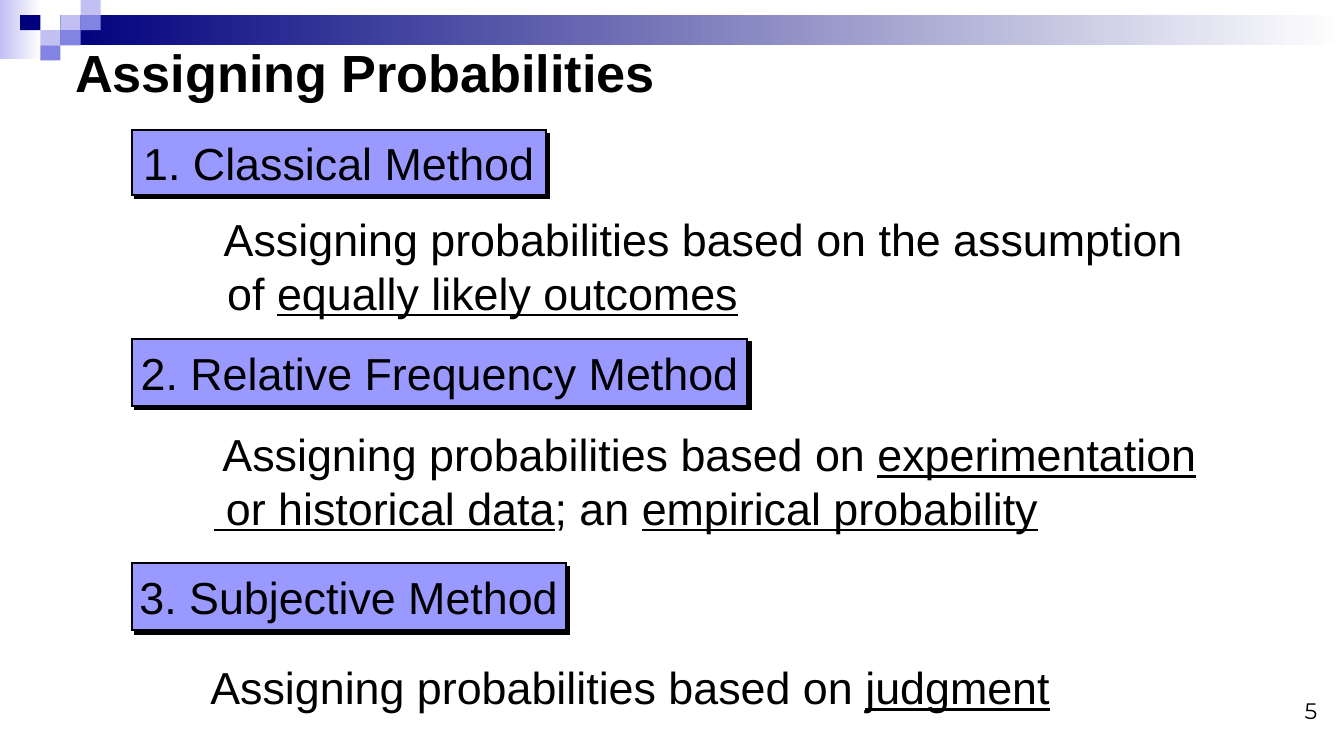
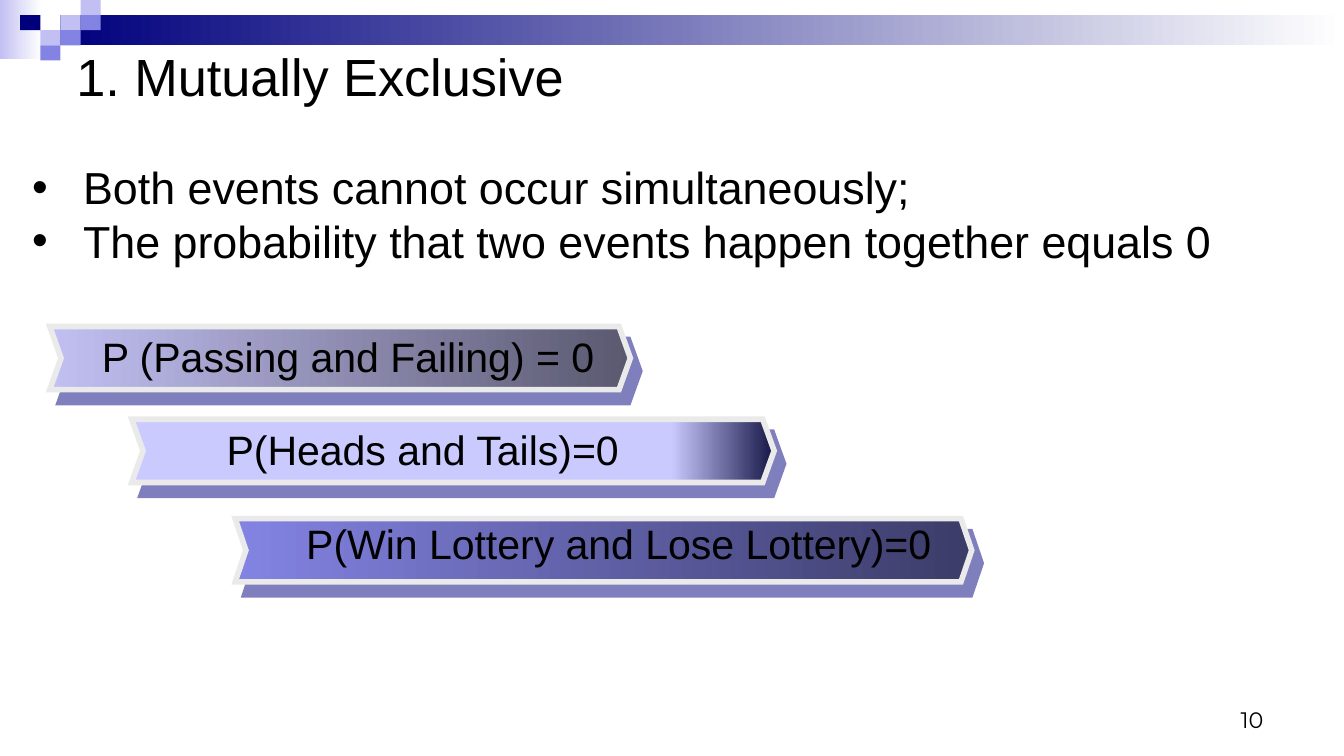
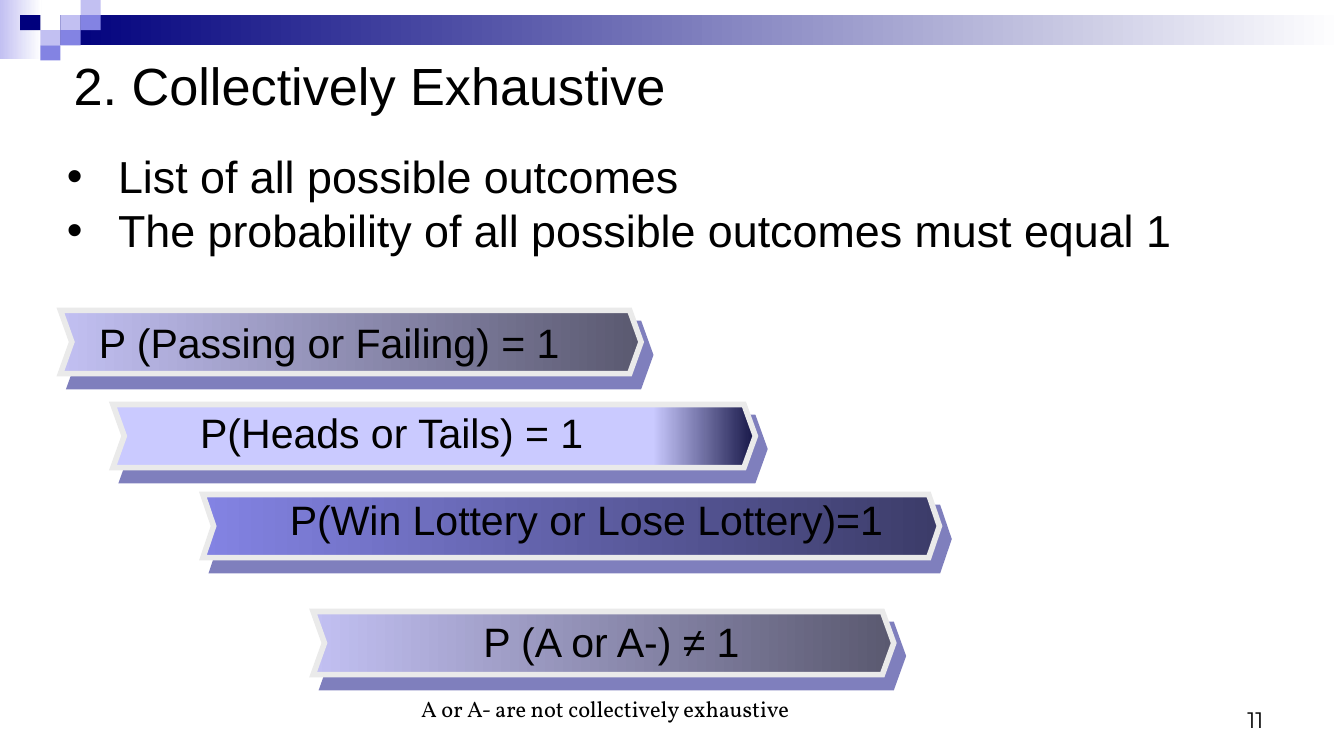
from pptx import Presentation
from pptx.util import Inches, Pt
from pptx.dml.color import RGBColor as RGB
from pptx.enum.shapes import MSO_SHAPE as Shape
from pptx.enum.text import MSO_ANCHOR as Anchor, PP_ALIGN as Align
from pptx.oxml.ns import qn
from lxml.etree import SubElement as Sub

WIDTH = 10
HEIGHT = WIDTH * 9 / 16

HUES = {
    "ink": "000000", "white": "FFFFFF", "navy": "00007D",
    "lilac": "C2C0F2", "iris": "8383E3", "label": "9999FF",
    "pale": "CACAFF", "edge": "EAEAEA", "slate": "5A5970",
    "dusk": "3C3C69", "night": "151546",
}
SANS, SERIF, NUM = "Arial", "Vollkorn", "Montserrat"

# Banner squares: column, row, colour
TILES = [(3, 1, "lilac"), (4, 0, "lilac"), (4, 1, "iris"), (2, 2, "lilac"),
         (1, 1, "navy"), (3, 2, "iris"), (2, 3, "iris")]
TILE_W, TILE_H = 0.15, 0.45 / 4

# Arrow styles: width, notch, start colour, end colour, start position
ARROWS = {
    "short": (4.32, 0.18, "lilac", "slate", 0),
    "mid": (4.78, 0.18, "pale", "night", 0.84),
    "long": (5.48, 0.17, "iris", "dusk", 0),
}
ARROW_H = 0.47


def hue(name):
    return RGB.from_string(HUES[name])


def inch(*nums):
    return [Inches(n) for n in nums]


def blend(shape, first, last, start=0):
    """Fill a shape with a left-to-right gradient."""
    shape.fill.gradient()
    shape.fill.gradient_angle = 0
    for stop, name, pos in zip(shape.fill.gradient_stops,
                               (first, last), (start, 1)):
        stop.color.rgb = hue(name)
        stop.position = pos


def shade(shape, name, dist, angle, alpha=100):
    """Give a shape a hard offset shadow."""
    fx = shape._element.spPr.find(qn("a:effectLst"))
    cast = Sub(fx, qn("a:outerShdw"), blurRad="0", dist=str(Pt(dist)),
               dir=str(angle * 60000), algn="ctr", rotWithShape="0")
    clr = Sub(cast, qn("a:srgbClr"), val=HUES[name])
    Sub(clr, qn("a:alpha"), val=str(alpha * 1000))


def block(shapes, box, fill=None, line=None, width=1, kind=Shape.RECTANGLE):
    shape = shapes.add_shape(kind, *inch(*box))
    shape.shadow.inherit = False
    if fill:
        shape.fill.solid()
        shape.fill.fore_color.rgb = hue(fill)
    if line:
        shape.line.color.rgb = hue(line)
        shape.line.width = Pt(width)
        # Sharp corners
        Sub(shape._element.spPr.find(qn("a:ln")), qn("a:miter"),
            lim="800000")
    else:
        shape.line.fill.background()
    return shape


def style(run, size, face=SANS, bold=False, under=None):
    font = run.font
    font.size, font.name, font.bold = Pt(size), face, bold
    font.underline = under
    font.color.rgb = hue("ink")


def write(slide, box, text, size, face=SANS, bold=False,
          align=Align.LEFT, anchor=Anchor.TOP):
    """Add a text box; each line of text is a paragraph."""
    frame = slide.shapes.add_textbox(*inch(*box)).text_frame
    frame.word_wrap = True
    frame.vertical_anchor = anchor
    frame.text = text
    for para in frame.paragraphs:
        para.alignment = align
        for run in para.runs:
            style(run, size, face, bold)
    return frame


def title(slide, box, text, bold=False, anchor=Anchor.TOP):
    write(slide, box, text, 28, bold=bold, anchor=anchor)


def number(slide, left, top, text):
    write(slide, (left, top, 2.33, 0.38), text, 12, NUM,
          align=Align.RIGHT, anchor=Anchor.BOTTOM)


def banner(slide):
    group = slide.shapes.add_group_shape().shapes
    blend(block(group, (0, 0, 0.31, 0.44)), "lilac", "white")
    bar = 3 * TILE_W
    blend(block(group, (bar, TILE_H, WIDTH - bar, 2 * TILE_H)),
          "navy", "white")
    for col, row, name in TILES:
        block(group, (col * TILE_W, row * TILE_H, TILE_W, TILE_H), name)


def label(slide, top, width, height, text):
    """Boxed name of a method."""
    shape = block(slide.shapes, (0.98, top, width, height),
                  "label", "ink")
    shade(shape, "ink", 2.8, 45)
    frame = shape.text_frame
    frame.word_wrap = False
    frame.vertical_anchor = Anchor.MIDDLE
    frame.text = text
    para = frame.paragraphs[0]
    para.alignment = Align.CENTER
    style(para.runs[0], 24)


def define(slide, box, lines):
    """Definition whose lines are lists of (text, underlined)."""
    frame = slide.shapes.add_textbox(*inch(*box)).text_frame
    frame.word_wrap = False
    frame.vertical_anchor = Anchor.MIDDLE
    for i, line in enumerate(lines):
        para = frame.add_paragraph() if i else frame.paragraphs[0]
        for text, under in line:
            run = para.add_run()
            run.text = text
            style(run, 24, SERIF if text == " " else SANS, under=under)


def bullets(slide, box, text):
    for para in write(slide, box, text, 24).paragraphs:
        props = para._p.get_or_add_pPr()
        props.set("marL", str(Inches(0.38)))
        props.set("indent", str(-Inches(0.38)))
        Sub(props, qn("a:buFont"), typeface=SANS)
        Sub(props, qn("a:buChar"), char="•")


def arrow(slide, kind, left, top):
    width, notch, first, last, start = ARROWS[kind]
    shape = block(slide.shapes, (left, top, width, ARROW_H),
                  line="edge", width=3, kind=Shape.CHEVRON)
    shape.adjustments[0] = notch
    blend(shape, first, last, start)
    shade(shape, "navy", 8.6, 54, 50)


def caption(slide, left, top, width, text):
    write(slide, (left, top, width, ARROW_H), text, 22, align=Align.CENTER)


def methods(slide):
    title(slide, (0.46, 0.2, 5.62, 0.67), "Assigning Probabilities",
          True, Anchor.MIDDLE)
    for top, width, height, text in [
            (0.97, 3.08, 0.48, "1. Classical Method"),
            (2.52, 4.58, 0.5, "2. Relative Frequency Method"),
            (4.19, 3.23, 0.5, "3. Subjective Method")]:
        label(slide, top, width, height, text)
    lead = [(" ", False), ("Assigning probabilities based on ", False)]
    define(slide, (1.5, 1.57, 7.54, 0.81), [
        [(" ", False),
         ("Assigning probabilities based on the assumption", False)],
        [(" of ", False), ("equally likely outcomes", True)]])
    define(slide, (1.49, 3.19, 7.75, 0.77), [
        lead + [("experimentation", True)],
        [(" or historical data", True), ("; an ", False),
         ("empirical probability", True)]])
    define(slide, (1.4, 4.78, 7.48, 0.66), [lead + [("judgment", True)]])
    number(slide, 7.57, 5.06, "5")


def exclude(slide):
    for kind, left, top in [("long", 1.75, 3.86), ("mid", 0.98, 3.12),
                            ("short", 0.37, 2.43)]:
        arrow(slide, kind, left, top)
    caption(slide, 0.59, 2.42, 4, "P (Passing and Failing) = 0")
    caption(slide, 1.29, 3.11, 3.71, "P(Heads and Tails)=0")
    caption(slide, 2.05, 3.81, 5.11, "P(Win Lottery and Lose Lottery)=0")
    title(slide, (0.47, 0.28, 8.77, 0.67), "1. Mutually Exclusive")
    number(slide, 7.17, 5.12, "10")
    bullets(slide, (0.14, 1.14, 9.36, 0.89),
            "Both events cannot occur simultaneously;\n"
            "The probability that two events happen together equals 0")


def exhaust(slide):
    write(slide, (2.97, 5.12, 3.07, 0.3),
          "A or A- are not collectively exhaustive", 12, SERIF,
          align=Align.CENTER)
    title(slide, (0.45, 0.35, 7.14, 0.57), "2. Collectively Exhaustive")
    number(slide, 7.17, 5.12, "11")
    for kind, left, top in [("long", 1.51, 3.68), ("mid", 0.84, 3.01),
                            ("short", 0.45, 2.31), ("short", 2.33, 4.55)]:
        arrow(slide, kind, left, top)
    caption(slide, 0.45, 2.31, 4, "P (Passing or Failing) = 1")
    caption(slide, 1.06, 2.98, 3.71, "P(Heads or Tails) = 1")
    caption(slide, 1.81, 3.63, 5.11, "P(Win Lottery or Lose Lottery)=1")
    caption(slide, 2.55, 4.54, 4, "P (A or A-) ≠ 1")
    bullets(slide, (0.4, 1.06, 8.91, 0.91),
            "List of all possible outcomes\n"
            "The probability of all possible outcomes must equal 1")


def main():
    prs = Presentation()
    prs.slide_width, prs.slide_height = inch(WIDTH, HEIGHT)
    for build in (methods, exclude, exhaust):
        slide = prs.slides.add_slide(prs.slide_layouts[6])
        banner(slide)
        build(slide)
    prs.save("out.pptx")


if __name__ == "__main__":
    main()
